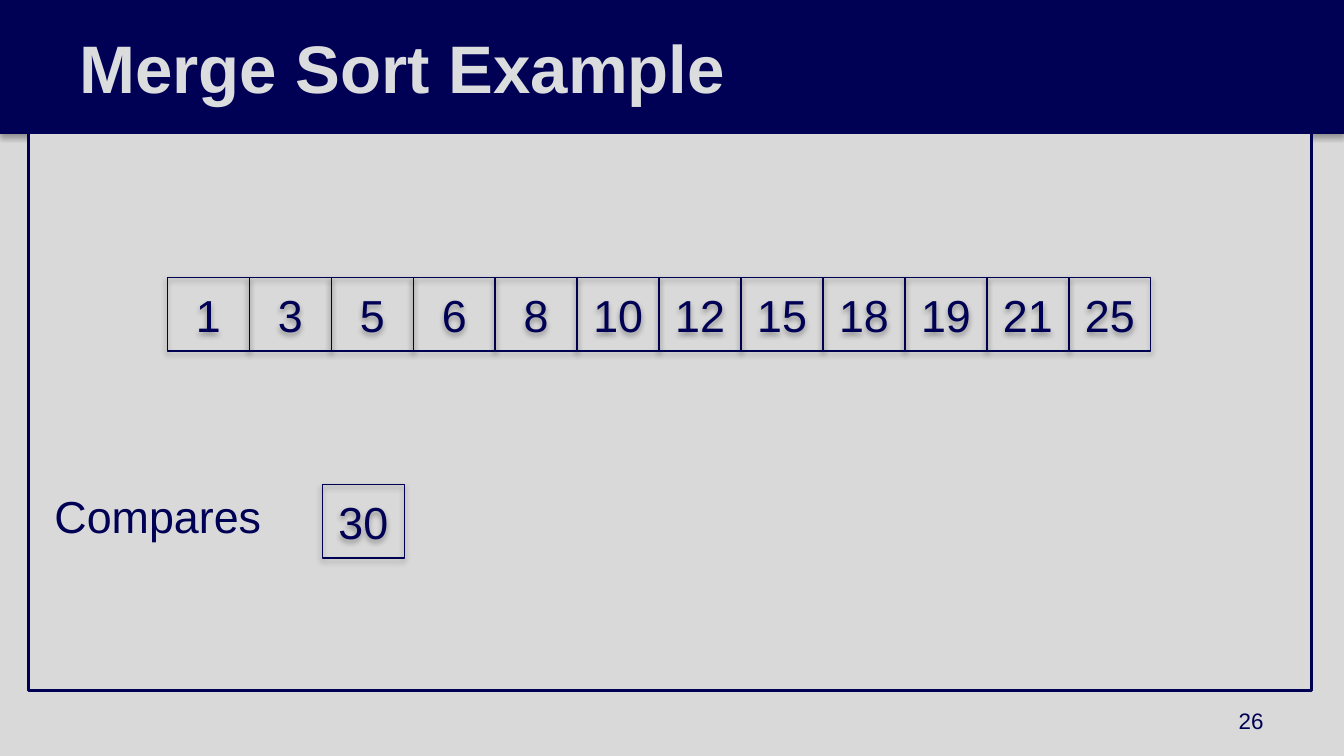
from lxml import etree
from pptx import Presentation
from pptx.dml.color import RGBColor
from pptx.enum.shapes import MSO_SHAPE as Shape
from pptx.enum.text import MSO_ANCHOR as Anchor, PP_ALIGN as Align
from pptx.oxml import parse_xml
from pptx.oxml.ns import nsdecls, qn
from pptx.util import Pt

COLORS = {"navy": "000054", "outline": "000052", "gray": "D9D9D9",
          "title": "DBDCDD", "shadow": "000000"}
FONT = "Arial"
SORTED_VALUES = [1, 3, 5, 6, 8, 10, 12, 15, 18, 19, 21, 25]
CELL_W, CELL_H = 43.9, 39.5


def rgb(name):
    return RGBColor.from_string(COLORS[name])


def add_shadow(shape):
    effects = shape._element.spPr.find(qn("a:effectLst"))
    effects.append(parse_xml(
        f'<a:outerShdw {nsdecls("a")} blurRad="{Pt(3.1)}" dist="{Pt(1.8)}" '
        'dir="5400000" rotWithShape="0">'
        f'<a:srgbClr val="{COLORS["shadow"]}"><a:alpha val="35000"/></a:srgbClr>'
        '</a:outerShdw>'))


def add_box(slide, box, fill=None, line=None, weight=0.75, shadow=False):
    rect = slide.shapes.add_shape(Shape.RECTANGLE, *map(Pt, box))
    rect.shadow.inherit = False
    if fill:
        rect.fill.solid()
        rect.fill.fore_color.rgb = rgb(fill)
    else:
        rect.fill.background()
    if line:
        rect.line.color.rgb = rgb(line)
        rect.line.width = Pt(weight)
    else:
        rect.line.fill.background()
    if shadow:
        add_shadow(rect)
    return rect


def write(shape, text, size=24, color="navy", align=Align.LEFT, bold=False,
          inset=7.2):
    frame = shape.text_frame
    frame.word_wrap = True
    frame.vertical_anchor = Anchor.MIDDLE
    frame.margin_left = frame.margin_right = Pt(inset)
    paragraph = frame.paragraphs[0]
    paragraph.text = text
    paragraph.alignment = align
    font = paragraph.font
    font.name, font.size, font.bold = FONT, Pt(size), bold
    font.color.rgb = rgb(color)


def add_label(slide, box, text, **style):
    write(slide.shapes.add_textbox(*map(Pt, box)), text, **style)


def add_frame(slide, box):
    add_box(slide, box, fill="gray", line="navy", weight=1.5)


def add_title(slide, box, text):
    title = add_box(slide, box, fill="navy")
    write(title, text, size=36, color="title", bold=True, inset=42.5)


def add_array(slide, left, top, values):
    for i, value in enumerate(values):
        cell = add_box(slide, (left + i * CELL_W, top, CELL_W, CELL_H),
                       line="outline", shadow=True)
        write(cell, str(value), align=Align.CENTER)


def add_compares(slide, left, top):
    add_label(slide, (left, top + 1, 130, 32), "Compares", inset=0)
    add_array(slide, left + 143.5, top, [30])


def main():
    prs = Presentation()
    prs.slide_width, prs.slide_height = Pt(720), Pt(405)
    slide = prs.slides.add_slide(prs.slide_layouts[6])
    slide.background.fill.solid()
    slide.background.fill.fore_color.rgb = rgb("gray")

    # Header band, content frame and title
    add_box(slide, (0, 0, 720, 71.3), fill="navy", line="outline", shadow=True)
    add_frame(slide, (15.3, 71.3, 687.4, 298.6))
    add_title(slide, (0, 0, 650, 71.3), "Merge Sort Example")

    # Page number
    add_label(slide, (516, 375, 168, 22), "26", size=12, align=Align.RIGHT)

    # Sorted array and comparison count
    add_array(slide, 89.7, 148.6, SORTED_VALUES)
    add_compares(slide, 29.2, 259.4)

    prs.save("out.pptx")


if __name__ == "__main__":
    main()
